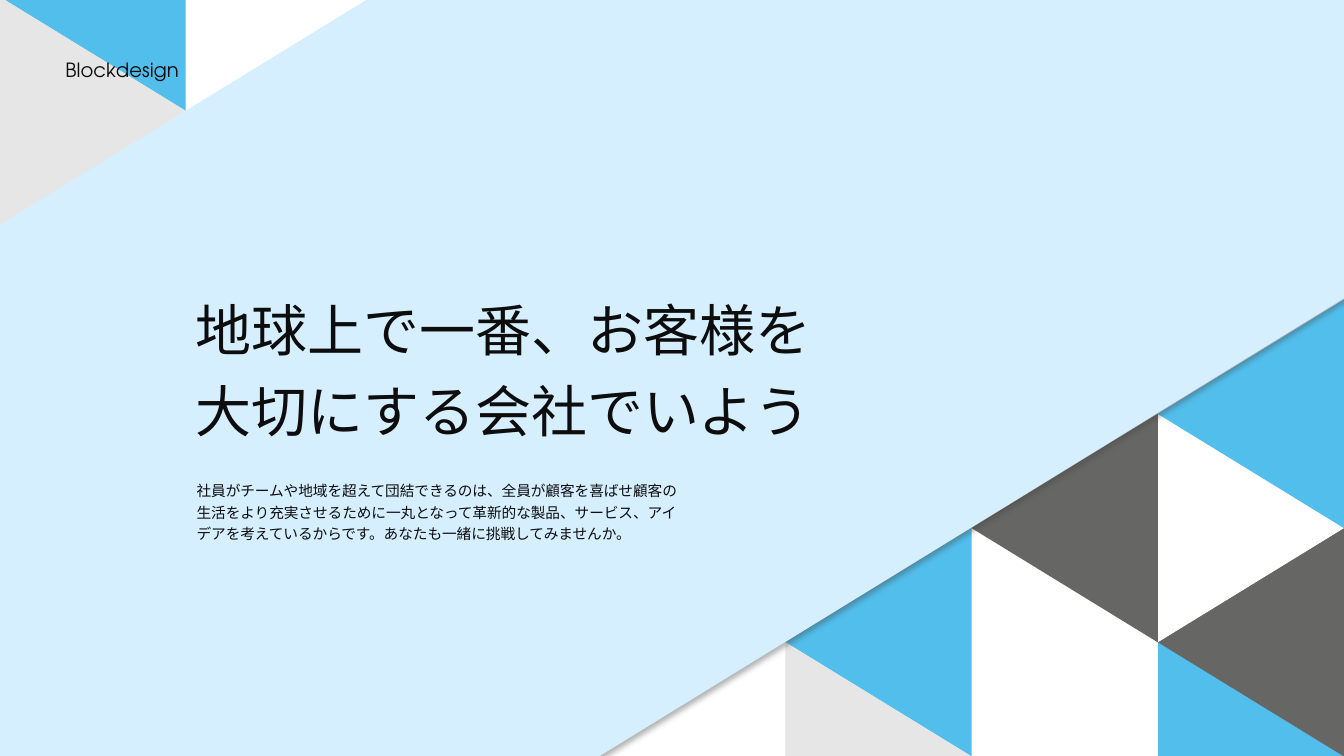
"""Build the block design cover slide: a triangle mosaic, a tilted panel and three texts."""
from dataclasses import dataclass
from typing import Any

from lxml import etree
from pptx import Presentation
from pptx.dml.color import RGBColor
from pptx.enum.shapes import MSO_SHAPE
from pptx.enum.text import MSO_ANCHOR, MSO_AUTO_SIZE, PP_ALIGN
from pptx.oxml.ns import qn
from pptx.util import Inches, Pt

TRIANGLE, RECTANGLE = MSO_SHAPE.ISOSCELES_TRIANGLE, MSO_SHAPE.RECTANGLE
LEFT, TOP, NO_RESIZE = PP_ALIGN.LEFT, MSO_ANCHOR.TOP, MSO_AUTO_SIZE.NONE
POINT_LEFT, POINT_RIGHT = 270, 90
TRI_WIDTH, TRI_HEIGHT = 2.27, 1.85
COL_STEP, ROW_STEP = 1.847, 1.133


@dataclass(frozen=True)
class Theme:
    """Colours, fonts and type sizes of the slide."""
    blue: str = "52BEEC"
    white: str = "FFFFFF"
    dark: str = "666664"
    light: str = "E7E6E6"
    panel: str = "D5EFFF"
    shadow: str = "404040"
    ink: str = "0D0D0D"
    font: str = "Noto Sans CJK JP"
    brand_font: str = "TeX Gyre Adventor"
    title_size: float = 40
    body_size: float = 10.5
    brand_size: float = 14


@dataclass(frozen=True)
class Tile:
    """One triangle at a column and row of a mosaic."""
    col: int
    row: int
    rotation: int
    color: str


@dataclass(frozen=True)
class TextStyle:
    """Font, size and line spacing of a text."""
    font: str
    size: float
    spacing: float


THEME = Theme()
CORNER_BOTTOM = (
    Tile(3, 3, POINT_RIGHT, THEME.blue),
    Tile(2, 3, POINT_LEFT, THEME.white),
    Tile(3, 2, POINT_LEFT, THEME.dark),
    Tile(2, 2, POINT_RIGHT, THEME.white),
    Tile(1, 2, POINT_LEFT, THEME.blue),
    Tile(3, 1, POINT_RIGHT, THEME.white),
    Tile(2, 1, POINT_LEFT, THEME.dark),
    Tile(3, 0, POINT_LEFT, THEME.blue),
    Tile(1, 3, POINT_RIGHT, THEME.light),
    Tile(0, 3, POINT_LEFT, THEME.white),
)
CORNER_TOP = (
    Tile(1, 0, POINT_RIGHT, THEME.white),
    Tile(0, 0, POINT_LEFT, THEME.blue),
    Tile(0, 1, POINT_RIGHT, THEME.light),
)
TITLE = ("地球上で一番、お客様を", "大切にする会社でいよう")
BODY = (
    "社員がチームや地域を超えて団結できるのは、全員が顧客を喜ばせ顧客の"
    "生活をより充実させるために一丸となって革新的な製品、サービス、"
    "アイデアを考えているからです。あなたも一緒に挑戦してみませんか。",
)


def add_block(s: Any, kind: Any, box: tuple[float, ...], rotation: float, color: str) -> Any:
    """Add a rotated, plainly filled shape."""
    sp = s.shapes.add_shape(kind, *map(Inches, box))
    sp.rotation = rotation
    sp.shadow.inherit = False
    sp.fill.solid()
    sp.fill.fore_color.rgb = RGBColor.from_string(color)
    sp.line.fill.background()
    return sp


def add_mosaic(s: Any, left: float, top: float, tiles: tuple[Tile, ...]) -> None:
    """Draw the tiles on a grid that starts at left and top."""
    for tile in tiles:
        box = (left + tile.col * COL_STEP, top + tile.row * ROW_STEP, TRI_WIDTH, TRI_HEIGHT)
        add_block(s, TRIANGLE, box, tile.rotation, tile.color)


def add_shadow(sp: Any) -> None:
    """Give a shape a soft shadow falling to the lower right."""
    effects = sp.element.spPr.find(qn("a:effectLst"))
    shadow = etree.SubElement(effects, qn("a:outerShdw"), blurRad=str(Pt(4)),
                              dist=str(Pt(3)), dir="2700000", algn="tl", rotWithShape="0")
    color = etree.SubElement(shadow, qn("a:srgbClr"), val=THEME.shadow)
    etree.SubElement(color, qn("a:alpha"), val="40000")


def write_text(sp: Any, box: tuple[float, ...], lines: tuple[str, ...],
               style: TextStyle, wrap: bool = True) -> None:
    """Place a text shape in front and fill it with formatted paragraphs."""
    sp.left, sp.top, sp.width, sp.height = map(Inches, box)
    sp.element.getparent().append(sp.element)
    tf = sp.text_frame
    tf.text = "\n".join(lines)
    tf.word_wrap, tf.auto_size, tf.vertical_anchor = wrap, NO_RESIZE, TOP
    for p in tf.paragraphs:
        p.alignment, p.line_spacing, p.space_before = LEFT, style.spacing, Pt(0)
        p.font.name, p.font.size = style.font, Pt(style.size)
        p.font.color.rgb = RGBColor.from_string(THEME.ink)
        for latin in list(p._p.iter(qn("a:latin"))):
            latin.addnext(etree.Element(qn("a:ea"), typeface=style.font))


def main() -> None:
    """Build and save the presentation."""
    prs = Presentation()
    prs.slide_width, prs.slide_height = Inches(13.33), Inches(7.5)
    s = prs.slides.add_slide(prs.slide_layouts[0])
    add_mosaic(s, 5.73, 3.18, CORNER_BOTTOM)
    add_shadow(add_block(s, RECTANGLE, (-2.11, -2.99, 16.72, 9.48), 328.4, THEME.panel))
    add_mosaic(s, -0.22, -0.96, CORNER_TOP)
    write_text(s.shapes.title, (1.84, 2.75, 6.67, 1.68), TITLE,
               TextStyle(THEME.font, THEME.title_size, 1.2))
    write_text(s.placeholders[1], (1.85, 4.7, 4.99, 0.73), BODY,
               TextStyle(THEME.font, THEME.body_size, 1.2))
    brand = s.shapes.add_textbox(0, 0, 0, 0)
    write_text(brand, (0.55, 0.57, 1.33, 0.29), ("Blockdesign",),
               TextStyle(THEME.brand_font, THEME.brand_size, 0.8), wrap=False)
    prs.save("out.pptx")


if __name__ == "__main__":
    main()
